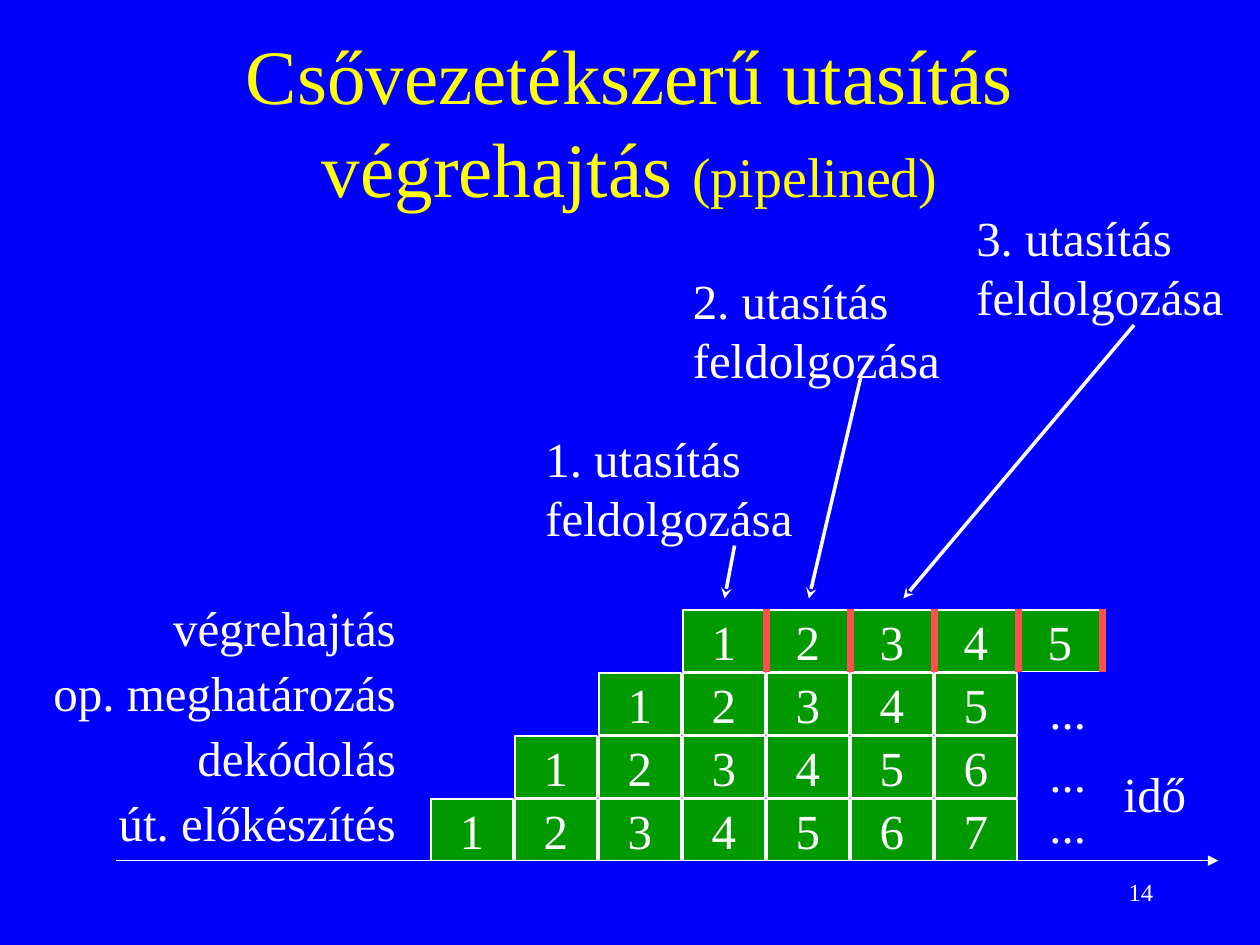
from dataclasses import dataclass

from lxml.etree import SubElement
from pptx import Presentation
from pptx.dml.color import RGBColor
from pptx.enum.shapes import MSO_CONNECTOR, MSO_SHAPE
from pptx.enum.text import MSO_ANCHOR, PP_ALIGN
from pptx.oxml.ns import qn
from pptx.util import Inches, Pt

WHITE, YELLOW, GREEN, RED, BLUE = "FFFFFF", "FFFF00", "009900", "FF5050", "0000FF"
FONT = "Times New Roman"

GRID_LEFT, GRID_BOTTOM_ROW = 3.42, 6.34
COLUMN_STEP, ROW_STEP = 2 / 3, 0.5
CELL_WIDTH, CELL_HEIGHT = 0.65, 0.49


@dataclass(frozen=True)
class Stage:
    name: str
    instructions: int


@dataclass(frozen=True)
class Callout:
    number: int
    left: float
    top: float
    arrow_start: tuple[float, float]
    arrow_end: tuple[float, float]


# From the top row of the pipeline to the bottom one
STAGES = (
    Stage("végrehajtás", 5),
    Stage("op. meghatározás", 5),
    Stage("dekódolás", 6),
    Stage("út. előkészítés", 7),
)
CALLOUTS = (
    Callout(1, 4.23, 3.35, (5.83, 4.33), (5.75, 4.75)),
    Callout(2, 5.4, 2.1, (6.83, 3), (6.42, 4.75)),
    Callout(3, 7.65, 1.6, (9, 2.58), (7.17, 4.75)),
)
ELLIPSIS_TOPS = (5.35, 5.85, 6.26)


def rgb(hex_color: str) -> RGBColor:
    return RGBColor.from_string(hex_color)


def write(paragraph, text: str, *, size: float = 28, color: str = WHITE,
          align=PP_ALIGN.LEFT, line_spacing: float = 1.0) -> None:
    """Append a formatted run to the paragraph."""
    paragraph.alignment = align
    paragraph.line_spacing = line_spacing
    run = paragraph.add_run()
    run.text = text
    run.font.name = FONT
    run.font.size = Pt(size)
    run.font.color.rgb = rgb(color)


def add_text(slide, left: float, top: float, width: float, height: float,
             lines: tuple[str, ...], *, wrap: bool = False,
             anchor=MSO_ANCHOR.TOP, **text_format):
    box = slide.shapes.add_textbox(Inches(left), Inches(top), Inches(width), Inches(height))
    frame = box.text_frame
    frame.word_wrap = wrap
    frame.vertical_anchor = anchor
    for index, line in enumerate(lines):
        paragraph = frame.add_paragraph() if index else frame.paragraphs[0]
        write(paragraph, line, **text_format)
    return frame


def add_line(slide, start: tuple[float, float], end: tuple[float, float], *,
             color: str = WHITE, width: float = 1, arrowhead: str | None = None) -> None:
    connector = slide.shapes.add_connector(
        MSO_CONNECTOR.STRAIGHT, *map(Inches, start), *map(Inches, end))
    connector.line.color.rgb = rgb(color)
    connector.line.width = Pt(width)
    if arrowhead:
        SubElement(connector.line._get_or_add_ln(), qn("a:tailEnd"), type=arrowhead)
    SubElement(connector._element.spPr, qn("a:effectLst"))


def add_cell(slide, left: float, top: float, number: int) -> None:
    cell = slide.shapes.add_shape(
        MSO_SHAPE.RECTANGLE, Inches(left), Inches(top), Inches(CELL_WIDTH), Inches(CELL_HEIGHT))
    cell.shadow.inherit = False
    cell.fill.solid()
    cell.fill.fore_color.rgb = rgb(GREEN)
    cell.line.color.rgb = rgb(WHITE)
    cell.line.width = Pt(1)
    cell.text_frame.word_wrap = False
    cell.text_frame.vertical_anchor = MSO_ANCHOR.MIDDLE
    write(cell.text_frame.paragraphs[0], str(number), align=PP_ALIGN.CENTER)


def add_pipeline(slide) -> None:
    """Draw the staircase of cells, each stage one column later than the one below."""
    for level, stage in enumerate(reversed(STAGES)):
        top = GRID_BOTTOM_ROW - level * ROW_STEP
        for position in range(stage.instructions):
            left = GRID_LEFT + (level + position) * COLUMN_STEP
            add_cell(slide, left, top, position + 1)

    for position in range(STAGES[0].instructions):
        completion = 6.08 + position * COLUMN_STEP
        add_line(slide, (completion, 4.83), (completion, 5.33), color=RED, width=4)


def add_callout(slide, callout: Callout) -> None:
    add_text(slide, callout.left, callout.top, 2.16, 1.04,
             (f"{callout.number}. utasítás", "feldolgozása"))
    add_line(slide, callout.arrow_start, callout.arrow_end, width=2, arrowhead="stealth")


def main() -> None:
    presentation = Presentation()
    presentation.slide_width, presentation.slide_height = Inches(10), Inches(7.5)
    slide = presentation.slides.add_slide(presentation.slide_layouts[6])
    slide.background.fill.solid()
    slide.background.fill.fore_color.rgb = rgb(BLUE)

    title = add_text(slide, 0.75, 0.33, 8.5, 1.25, ("Csővezetékszerű utasítás végrehajtás ",),
                     wrap=True, anchor=MSO_ANCHOR.MIDDLE,
                     size=44, color=YELLOW, align=PP_ALIGN.CENTER)
    write(title.paragraphs[0], "(pipelined)", size=32, color=YELLOW, align=PP_ALIGN.CENTER)

    add_text(slide, 0.32, 4.65, 2.92, 2.15, tuple(stage.name for stage in STAGES),
             align=PP_ALIGN.RIGHT, line_spacing=1.1)
    add_line(slide, (0.92, 6.83), (9.67, 6.83), arrowhead="triangle")
    add_text(slide, 8.82, 6.01, 0.7, 0.57, ("idő",))
    add_pipeline(slide)
    for top in ELLIPSIS_TOPS:
        add_text(slide, 8.23, top, 0.49, 0.57, ("...",))
    for callout in CALLOUTS:
        add_callout(slide, callout)
    add_text(slide, 7.17, 6.83, 2.08, 0.5, ("14",), wrap=True,
             anchor=MSO_ANCHOR.MIDDLE, size=14, align=PP_ALIGN.RIGHT)

    presentation.save("out.pptx")


if __name__ == "__main__":
    main()
